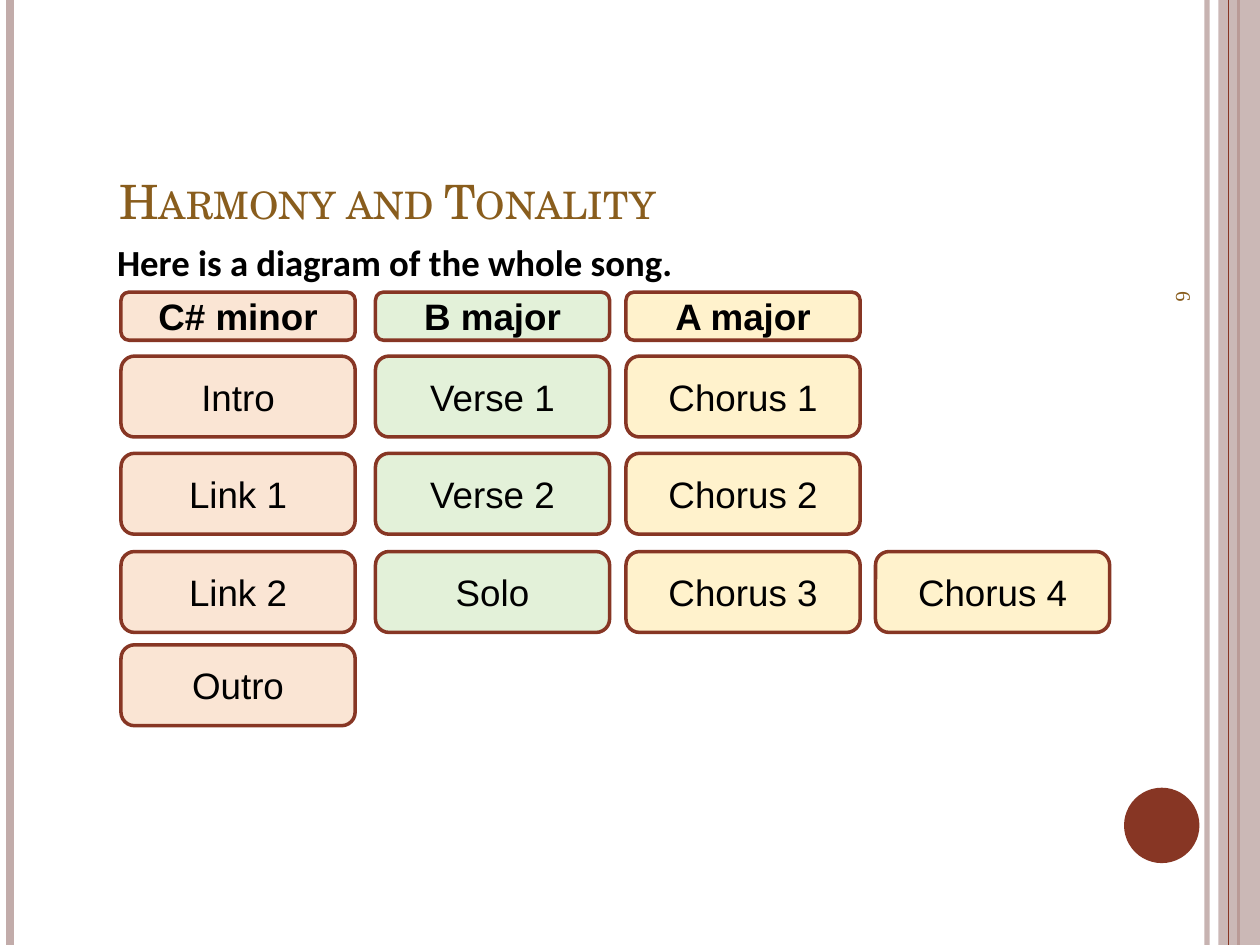
from collections import namedtuple

from lxml.etree import SubElement
from pptx import Presentation
from pptx.dml.color import RGBColor
from pptx.enum.shapes import MSO_CONNECTOR, MSO_SHAPE
from pptx.enum.text import MSO_ANCHOR, PP_ALIGN
from pptx.oxml.ns import qn
from pptx.util import Cm, Pt

WHITE = RGBColor(0xFF, 0xFF, 0xFF)
BLACK = RGBColor(0x00, 0x00, 0x00)
RUST = RGBColor(0x87, 0x36, 0x24)
MAUVE = RGBColor(0xC2, 0xAC, 0xAA)
BRONZE = RGBColor(0x89, 0x5D, 0x1D)
PEACH = RGBColor(0xFA, 0xE5, 0xD4)
GREEN = RGBColor(0xE3, 0xF1, 0xD9)
CREAM = RGBColor(0xFF, 0xF2, 0xCC)

Box = namedtuple("Box", "left top width height")

TITLE_FONT = {"name": "TeX Gyre Schola", "size": Pt(27)}
LEAD_FONT = {"name": "Calibri", "size": Pt(21), "bold": True}
NUMBER_FONT = {"name": "Times New Roman", "size": Pt(12)}
KEY_FONT = {"name": "Arial", "size": Pt(21), "bold": True}
SECTION_FONT = {"name": "Arial", "size": Pt(21)}
CELL_FRAME = {
    "margin_left": Cm(0.18), "margin_right": Cm(0.18),
    "margin_top": Cm(0.1), "margin_bottom": Cm(0.1),
    "vertical_anchor": MSO_ANCHOR.MIDDLE, "word_wrap": True,
}

KEYS = [
    ("C# minor", PEACH, 0, ["Intro", "Link 1", "Link 2", "Outro"]),
    ("B major", GREEN, 5.13, ["Verse 1", "Verse 2", "Solo"]),
    ("A major", CREAM, 10.18, ["Chorus 1", "Chorus 2", "Chorus 3"]),
]
ROW_TOPS = [1.29, 3.25, 5.23, 7.11]
CELL_WIDTH, CELL_HEIGHT, KEY_HEIGHT = 4.72, 1.63, 0.97
FINAL_CHORUS_LEFT = 15.21


def lengths(box):
    """Turn a box in centimetres into slide lengths."""
    return [Cm(value) for value in box]


def apply_format(target, values):
    """Set each attribute named in a dict of format values."""
    for name, value in values.items():
        setattr(target, name, value)


def set_alpha(fill, percent):
    """Make a solid fill partly transparent."""
    colour = fill._xPr.find(qn("a:solidFill"))[0]
    SubElement(colour, qn("a:alpha")).set("val", str(percent * 1000))


def write_text(frame, text, font, colour, align=PP_ALIGN.LEFT):
    """Write one formatted paragraph and return its run."""
    para = frame.paragraphs[0]
    para.alignment = align
    span = para.add_run()
    span.text = text
    apply_format(span.font, font)
    span.font.color.rgb = colour
    return span


def add_text(page, box, text, font, colour, align=PP_ALIGN.LEFT, anchor=MSO_ANCHOR.TOP):
    """Add a wrapping text box and return it with its run."""
    shape = page.shapes.add_textbox(*lengths(box))
    apply_format(shape.text_frame, {"word_wrap": True, "vertical_anchor": anchor})
    return shape, write_text(shape.text_frame, text, font, colour, align)


def add_solid(page, kind, box, colour):
    """Add a flat preset shape without an outline."""
    shape = page.shapes.add_shape(kind, *lengths(box))
    shape.shadow.inherit = False
    shape.fill.solid()
    shape.fill.fore_color.rgb = colour
    shape.line.fill.background()
    return shape


def add_rule(page, box, left, colour, weight, opacity=100):
    """Add a vertical line over the full height of the box."""
    x = Cm(box.left + left)
    rule = page.shapes.add_connector(
        MSO_CONNECTOR.STRAIGHT, x, Cm(box.top), x, Cm(box.top + box.height))
    rule.line.color.rgb = colour
    rule.line.width = Pt(weight)
    if opacity < 100:
        set_alpha(rule.line.fill, opacity)
    SubElement(rule._element.spPr, qn("a:effectLst"))


def add_border(page, box):
    """Draw the side stripes and the round ornament."""
    add_rule(page, box, 24.33, MAUVE, 3, 91)
    add_rule(page, box, 0.2, MAUVE, 4.5)
    add_rule(page, box, 24.97, RUST, 1.5)
    band = Box(box.left + 24.56, box.top, box.width - 24.56, box.height)
    set_alpha(add_solid(page, MSO_SHAPE.RECTANGLE, band, MAUVE).fill, 85)
    add_rule(page, box, 24.77, RUST, 0.75)
    disc = Box(box.left + 22.66, box.top + 15.88, 1.52, 1.52)
    add_solid(page, MSO_SHAPE.OVAL, disc, RUST)


def add_page_number(page, box):
    """Place the page number turned along the right edge."""
    number, _ = add_text(page, box, "6", NUMBER_FONT, BRONZE,
                         PP_ALIGN.RIGHT, MSO_ANCHOR.MIDDLE)
    number.rotation = 90


def add_heading(page, box):
    """Place the small-caps title and the lead sentence below it."""
    title = Box(box.left + 0.05, box.top, box.width, 1.42)
    _, span = add_text(page, title, "Harmony and Tonality", TITLE_FONT, BRONZE,
                       anchor=MSO_ANCHOR.BOTTOM)
    span._r.get_or_add_rPr().set("cap", "small")
    lead = Box(box.left, box.top + 1.37, box.width, 1.14)
    add_text(page, lead, "Here is a diagram of the whole song.", LEAD_FONT, BLACK)


def add_cell(page, box, text, colour, font):
    """Add one outlined rounded box with centred text."""
    cell = add_solid(page, MSO_SHAPE.ROUNDED_RECTANGLE, box, colour)
    cell.line.color.rgb = RUST
    cell.line.width = Pt(2)
    apply_format(cell.text_frame, CELL_FRAME)
    write_text(cell.text_frame, text, font, BLACK, PP_ALIGN.CENTER)


def add_song_diagram(page, box):
    """Place a column of song sections under each key."""
    for key, colour, offset, sections in KEYS:
        left = box.left + offset
        add_cell(page, Box(left, box.top, CELL_WIDTH, KEY_HEIGHT), key, colour, KEY_FONT)
        for top, section in zip(ROW_TOPS, sections):
            cell = Box(left, box.top + top, CELL_WIDTH, CELL_HEIGHT)
            add_cell(page, cell, section, colour, SECTION_FONT)
    final = Box(box.left + FINAL_CHORUS_LEFT, box.top + ROW_TOPS[2], CELL_WIDTH, CELL_HEIGHT)
    add_cell(page, final, "Chorus 4", CREAM, SECTION_FONT)


def main():
    """Build the slide and save the deck."""
    deck = Presentation()
    deck.slide_width, deck.slide_height = Cm(25.4), Cm(19.05)
    page = deck.slides.add_slide(deck.slide_layouts[6])
    page.background.fill.solid()
    page.background.fill.fore_color.rgb = WHITE
    add_border(page, Box(0, 0, 25.4, 19.05))
    add_page_number(page, Box(21.08, 3, 5.59, 1.07))
    add_heading(page, Box(2.11, 3.33, 17.5, 2.51))
    add_song_diagram(page, Box(2.44, 5.89, 19.93, 8.74))
    deck.save("out.pptx")


if __name__ == "__main__":
    main()
